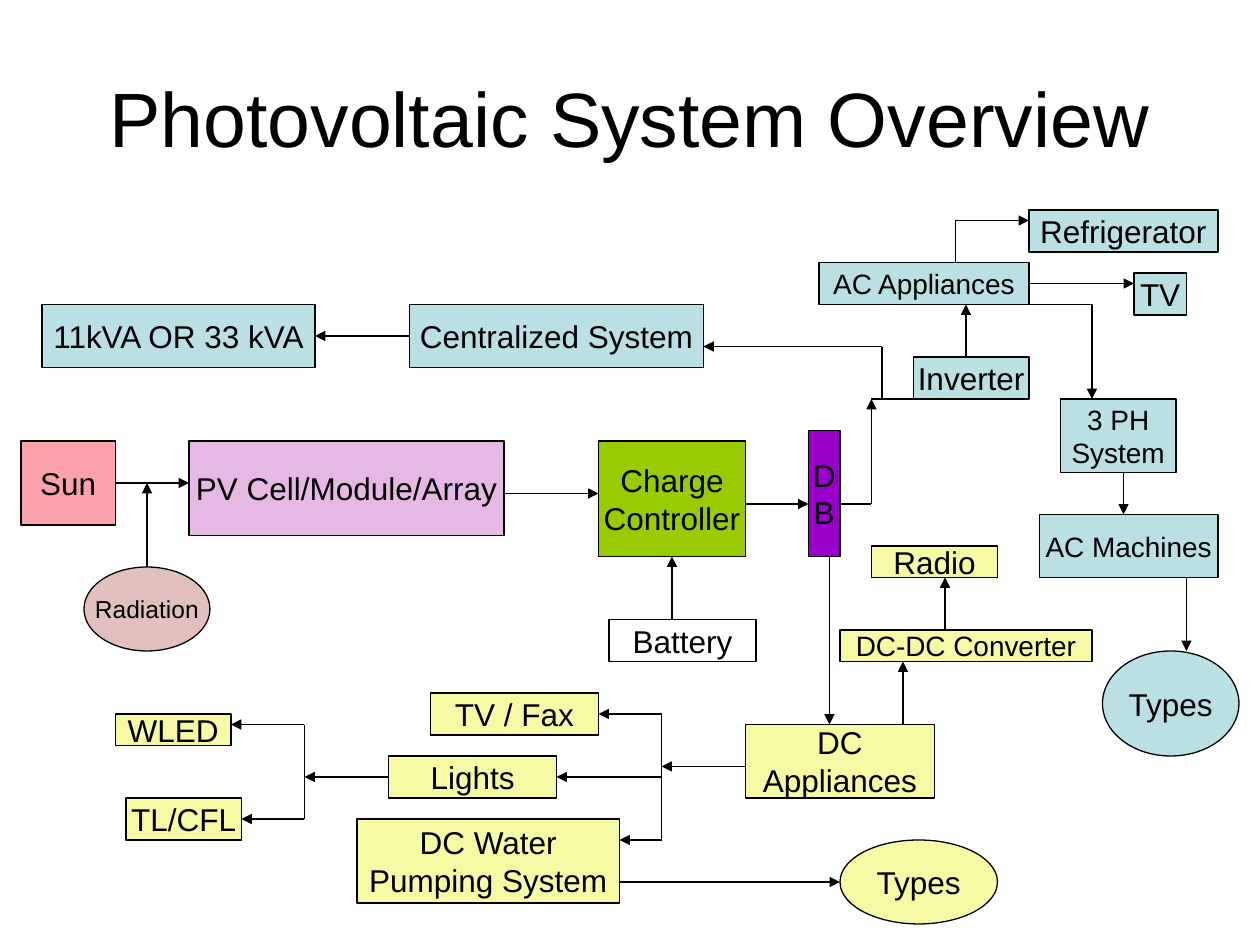
import pptx
import pptx.util
import pptx.dml.color
import pptx.enum.shapes
import pptx.enum.text
import pptx.oxml
import pptx.oxml.ns
import lxml.etree
from dataclasses import dataclass
from itertools import pairwise

COLS, ROWS = 120, 90
WIDTH, HEIGHT = pptx.util.Inches(10), pptx.util.Inches(7.5)
THIN = pptx.util.Pt(0.75)
HUES = {
    "ink": "000000", "white": "FFFFFF", "sun": "FCA2AD", "cell": "E6B8E4",
    "charge": "99CC00", "panel": "9900CC", "ac": "BBE0E3", "dc": "F6FAA4",
    "ray": "E1BFBD",
}
KINDS = {
    "rect": pptx.enum.shapes.MSO_SHAPE.RECTANGLE,
    "oval": pptx.enum.shapes.MSO_SHAPE.OVAL,
}
FRAME = {
    "word_wrap": False,
    "auto_size": pptx.enum.text.MSO_AUTO_SIZE.NONE,
    "vertical_anchor": pptx.enum.text.MSO_ANCHOR.MIDDLE,
}


@dataclass
class Node:
    text: str
    col: float
    row: float
    wide: float
    high: float
    hue: str
    size: int = 18
    kind: str = "rect"


@dataclass
class Wire:
    points: list[tuple[int, int]]
    arrow: bool = True


NODES = [
    Node("Sun", 2, 42, 9, 8, "sun"),
    Node("Radiation", 8, 54, 12, 8, "ray", 14, "oval"),
    Node("PV Cell/Module/Array", 18, 42, 30, 9, "cell"),
    Node("Charge\nController", 57, 42, 14, 11, "charge"),
    Node("Battery", 58, 59, 14, 4, "white"),
    Node("D\nB", 77, 41, 3, 12, "panel"),
    Node("Inverter", 87, 34, 11, 4, "ac"),
    Node("AC Appliances", 78, 25, 20, 4, "ac", 16),
    Node("Refrigerator", 98, 20, 18, 4, "ac"),
    Node("TV", 108, 26, 5, 4, "ac"),
    Node("3 PH\nSystem", 101, 38, 11, 7, "ac", 16),
    Node("AC Machines", 99, 49, 17, 6, "ac", 16),
    Node("Types", 105, 62, 13, 10, "ac", kind="oval"),
    Node("Centralized System", 39, 29, 28, 6, "ac"),
    Node("11kVA OR 33 kVA", 4, 29, 26, 6, "ac"),
    Node("DC\nAppliances", 71, 69, 18, 7, "dc"),
    Node("DC-DC Converter", 80, 60, 24, 3, "dc", 16),
    Node("Radio", 83, 52, 12, 3, "dc"),
    Node("TV / Fax", 41, 66, 16, 4, "dc"),
    Node("Lights", 37, 72, 16, 4, "dc"),
    Node("DC Water\nPumping System", 34, 78, 25, 8, "dc"),
    Node("Types", 80, 80, 15, 8, "dc", kind="oval"),
    Node("WLED", 11, 68, 11, 3, "dc"),
    Node("TL/CFL", 12, 76, 11, 4, "dc"),
]

WIRES = [
    Wire([(11, 46), (18, 46)]),
    Wire([(14, 54), (14, 46)]),
    Wire([(48, 47), (57, 47)]),
    Wire([(64, 59), (64, 53)]),
    Wire([(71, 48), (77, 48)]),
    Wire([(80, 48), (83, 48), (83, 38)]),
    Wire([(83, 38), (87, 38)], arrow=False),
    Wire([(84, 38), (84, 33), (67, 33)]),
    Wire([(39, 32), (30, 32)]),
    Wire([(92, 34), (92, 29)]),
    Wire([(91, 25), (91, 21), (98, 21)]),
    Wire([(98, 27), (108, 27)]),
    Wire([(98, 29), (104, 29), (104, 38)]),
    Wire([(107, 45), (107, 49)]),
    Wire([(113, 55), (113, 62)]),
    Wire([(79, 53), (79, 69)]),
    Wire([(86, 69), (86, 63)]),
    Wire([(90, 60), (90, 55)]),
    Wire([(71, 73), (63, 73)]),
    Wire([(63, 68), (57, 68)]),
    Wire([(63, 74), (53, 74)]),
    Wire([(63, 68), (63, 80), (59, 80)]),
    Wire([(59, 84), (80, 84)]),
    Wire([(37, 74), (29, 74)]),
    Wire([(29, 69), (22, 69)]),
    Wire([(29, 69), (29, 78), (23, 78)]),
]


def across(col: float) -> int:
    return round(WIDTH * col / COLS)


def down(row: float) -> int:
    return round(HEIGHT * row / ROWS)


def tint(name: str) -> pptx.dml.color.RGBColor:
    return pptx.dml.color.RGBColor.from_string(HUES[name])


def apply(target, values: dict) -> None:
    for key, value in values.items():
        setattr(target, key, value)


def stroke(line) -> None:
    line.width = THIN
    line.fill.solid()
    line.fill.fore_color.rgb = tint("ink")


def write(shape, text: str, size: int, frame: dict) -> None:
    body = shape.text_frame
    body.text = text
    apply(body, frame)
    for para in body.paragraphs:
        para.alignment = pptx.enum.text.PP_ALIGN.CENTER
        apply(para.runs[0].font, {"name": "Arial", "size": pptx.util.Pt(size)})
        para.runs[0].font.color.rgb = tint("ink")


def draw_node(shapes, node: Node) -> None:
    shape = shapes.add_shape(KINDS[node.kind], across(node.col), down(node.row),
                             across(node.wide), down(node.high))
    shape.shadow.inherit = False
    shape.fill.solid()
    shape.fill.fore_color.rgb = tint(node.hue)
    stroke(shape.line)
    write(shape, node.text, node.size, FRAME)


def draw_wire(shapes, wire: Wire) -> None:
    for start, end in pairwise(wire.points):
        link = shapes.add_connector(pptx.enum.shapes.MSO_CONNECTOR.STRAIGHT,
                                    across(start[0]), down(start[1]),
                                    across(end[0]), down(end[1]))
        stroke(link.line)
        props = link._element.spPr
        lxml.etree.SubElement(props, pptx.oxml.ns.qn("a:effectLst"))
        if wire.arrow and end == wire.points[-1]:
            line = props.find(pptx.oxml.ns.qn("a:ln"))
            lxml.etree.SubElement(line, pptx.oxml.ns.qn("a:tailEnd"), type="triangle")


def main() -> None:
    deck = pptx.Presentation()
    apply(deck, {"slide_width": WIDTH, "slide_height": HEIGHT})
    slide = deck.slides.add_slide(deck.slide_layouts[5])
    title = slide.shapes.title
    apply(title, {"left": across(6), "top": down(3.6),
                  "width": across(108), "height": down(15)})
    write(title, "Photovoltaic System Overview", 44, FRAME | {"word_wrap": True})
    for wire in WIRES:
        draw_wire(slide.shapes, wire)
    for node in NODES:
        draw_node(slide.shapes, node)
    deck.save("out.pptx")


if __name__ == "__main__":
    main()
